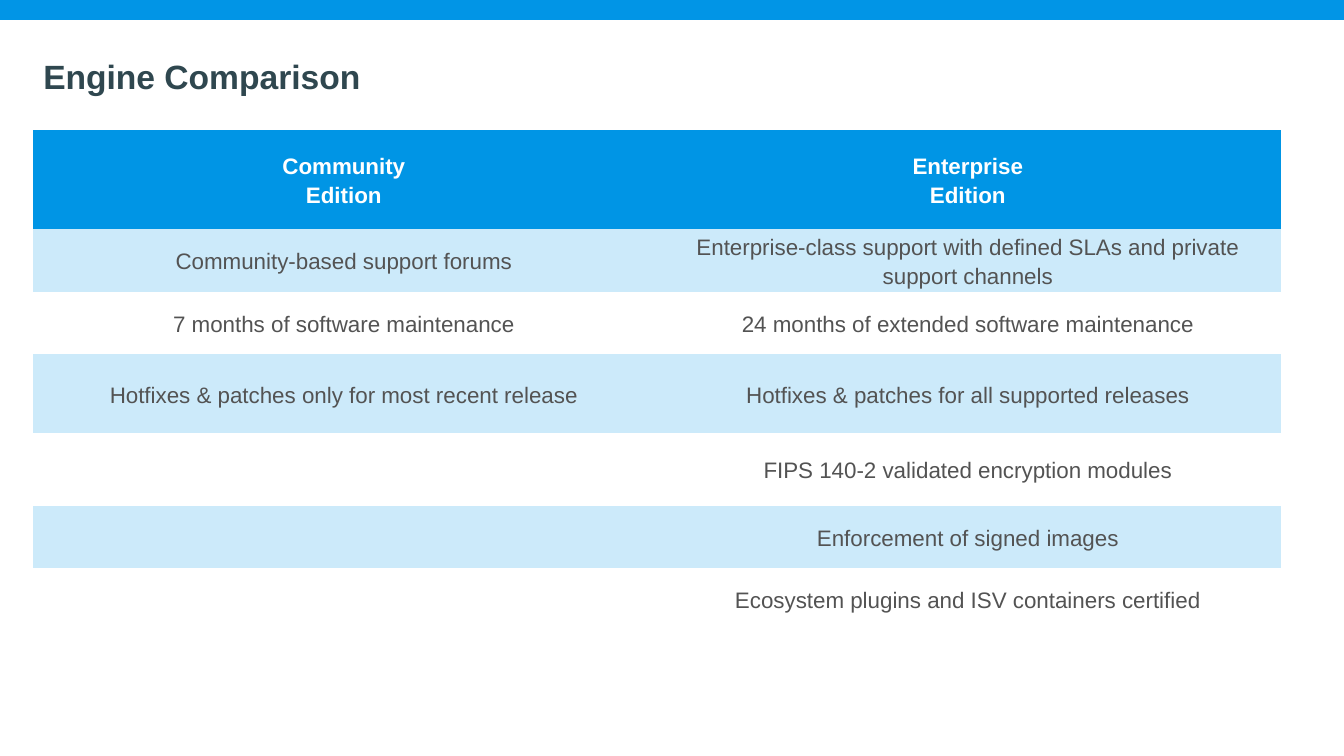
from pptx import Presentation
from pptx.dml.color import RGBColor
from pptx.enum.shapes import MSO_SHAPE
from pptx.enum.text import MSO_ANCHOR, PP_ALIGN
from pptx.oxml.ns import qn
from pptx.util import Cm, Pt


def rgb(value):
    return RGBColor.from_string(value)


prs = Presentation()
prs.slide_width, prs.slide_height = Cm(33.87), Cm(19.05)
s = prs.slides.add_slide(prs.slide_layouts[5])

# Top bar
bar = s.shapes.add_shape(MSO_SHAPE.RECTANGLE, 0, 0, prs.slide_width, Cm(0.5))
bar.shadow.inherit = False
bar.fill.solid()
bar.fill.fore_color.rgb = rgb("0195E6")
bar.line.fill.background()

# Title
title = s.shapes.title
title.left, title.top, title.width, title.height = Cm(0.84), Cm(1.02), Cm(31.45), Cm(1.8)
tf = title.text_frame
tf.text = "Engine Comparison"
tf.vertical_anchor = MSO_ANCHOR.MIDDLE
tf.margin_left = tf.margin_right = tf.margin_top = tf.margin_bottom = Cm(0.25)
p = tf.paragraphs[0]
p.alignment = PP_ALIGN.LEFT
p.font.name, p.font.size, p.font.bold = "Arial", Pt(24), True
p.font.color.rgb = rgb("2F474F")

# Comparison table
rows = [
    ("Community\vEdition", "Enterprise\vEdition"),
    ("Community-based support forums",
     "Enterprise-class support with defined SLAs and private support channels"),
    ("7 months of software maintenance", "24 months of extended software maintenance"),
    ("Hotfixes & patches only for most recent release",
     "Hotfixes & patches for all supported releases"),
    ("", "FIPS 140-2 validated encryption modules"),
    ("", "Enforcement of signed images"),
    ("", "Ecosystem plugins and ISV containers certified"),
]
col_widths = [15.65, 15.8]
row_heights = [2.48, 1.56, 1.56, 1.98, 1.85, 1.56, 1.56]

table = s.shapes.add_table(len(rows), len(col_widths), Cm(0.84), Cm(3.28),
                           Cm(sum(col_widths)), Cm(sum(row_heights))).table
# Built-in style without grid lines
table._tbl.tblPr.find(qn("a:tableStyleId")).text = "{2D5ABB26-0587-4C30-8999-92F81FD0307C}"
table.horz_banding = False
for column, width in zip(table.columns, col_widths):
    column.width = Cm(width)

for i, (texts, height) in enumerate(zip(rows, row_heights)):
    table.rows[i].height = Cm(height)
    header = i == 0
    for cell, text in zip(table.rows[i].cells, texts):
        cell.vertical_anchor = MSO_ANCHOR.MIDDLE
        cell.margin_left = cell.margin_right = Cm(0.15)
        cell.margin_top = cell.margin_bottom = Cm(0.08)
        # Solid header, then every other row tinted
        if header or i % 2:
            cell.fill.solid()
            cell.fill.fore_color.rgb = rgb("0095E5" if header else "CCEAFA")
        else:
            cell.fill.background()
        cell.text_frame.text = text
        p = cell.text_frame.paragraphs[0]
        p.alignment = PP_ALIGN.CENTER
        p.line_spacing = 1.15
        p.font.name, p.font.size, p.font.bold = "Arial", Pt(16), header
        p.font.color.rgb = rgb("FFFFFF" if header else "535353")

prs.save("out.pptx")
